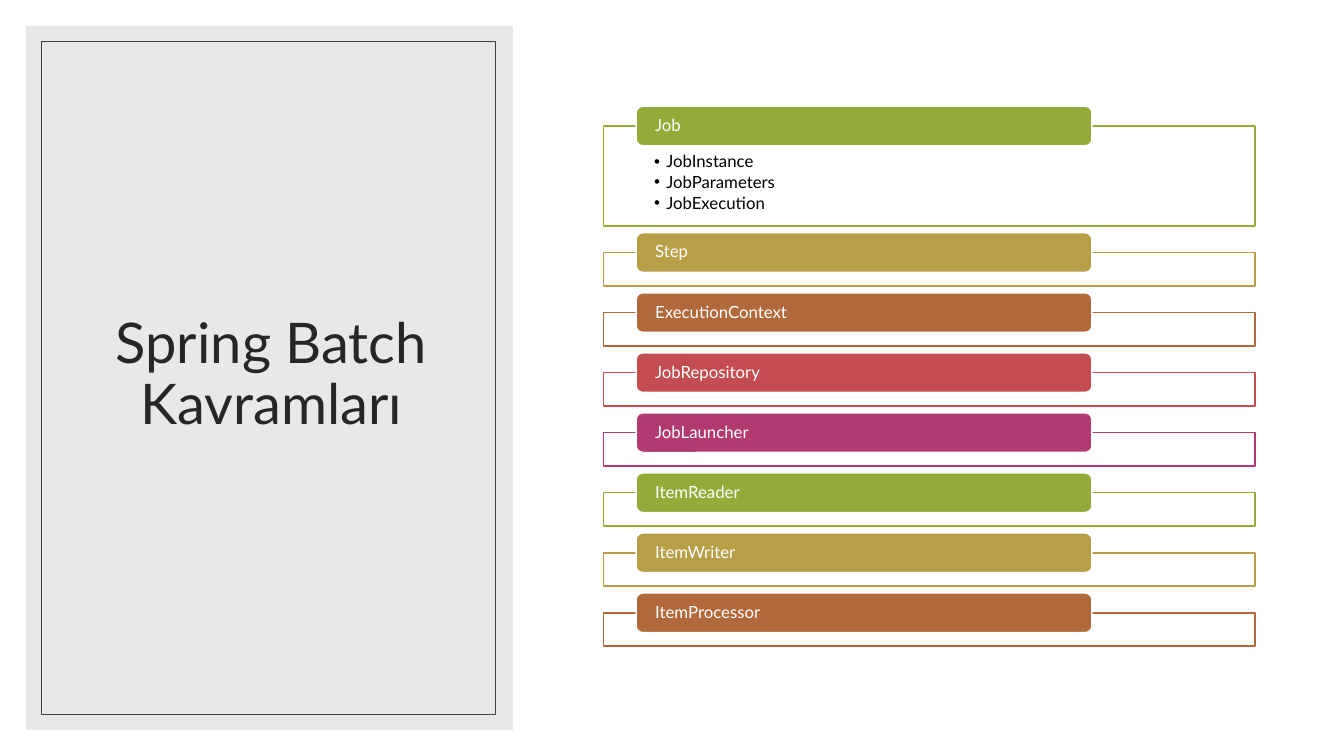
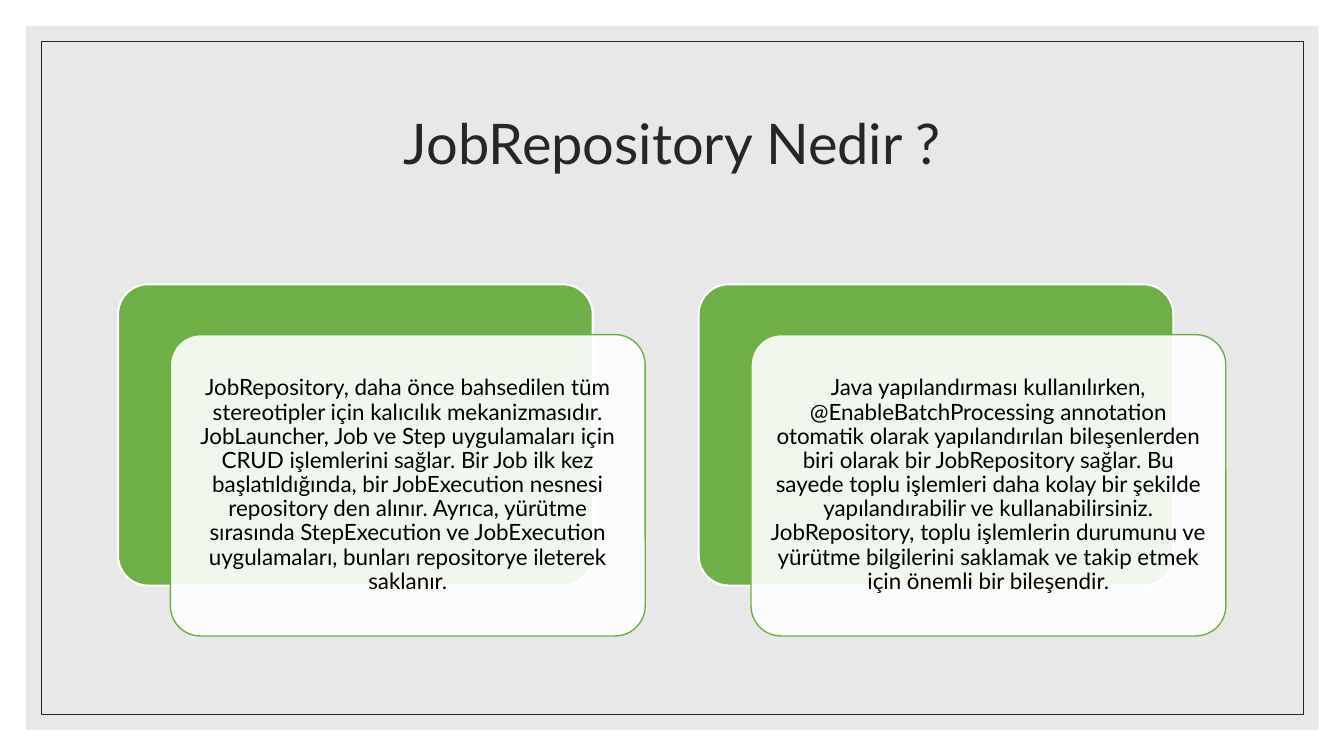
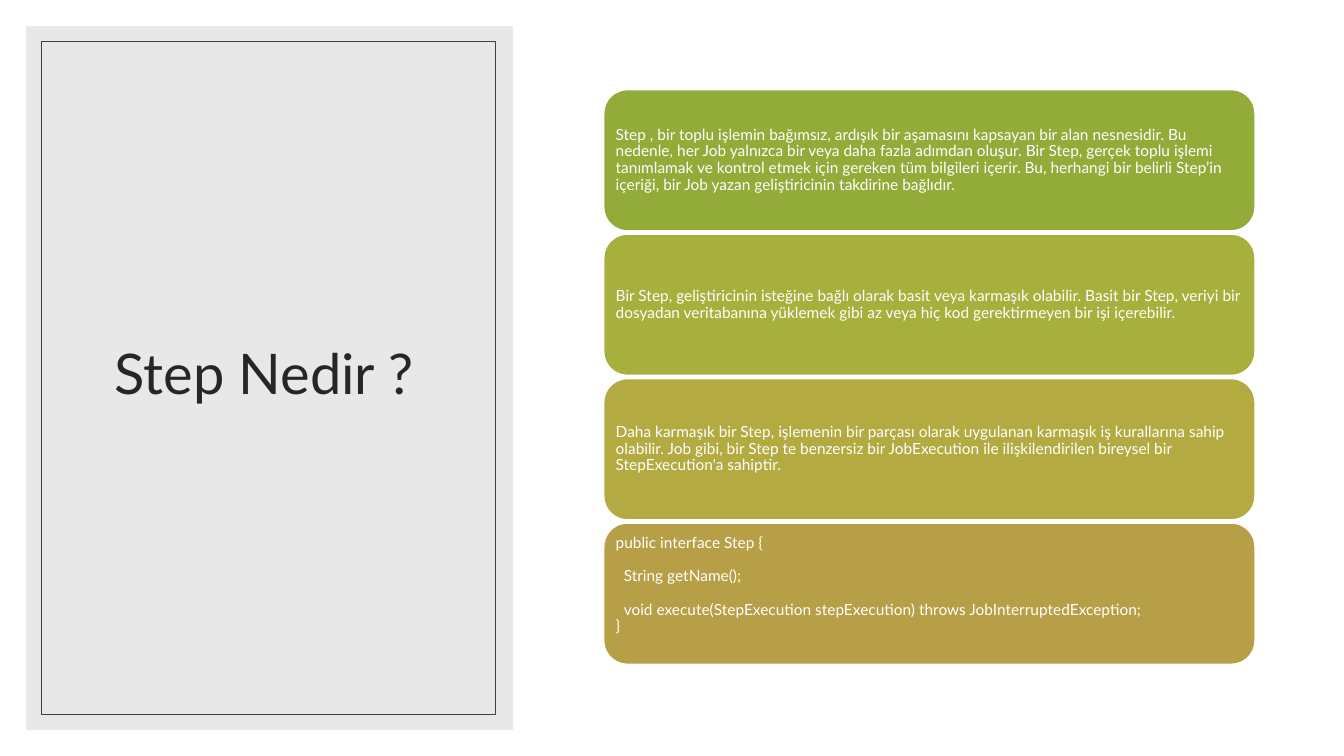
from dataclasses import dataclass

from lxml import etree
from pptx import Presentation
from pptx import util as u
from pptx.dml.color import RGBColor
from pptx.enum import shapes, text
from pptx.oxml.ns import qn

COLORS = {
    "white": "FFFFFF",
    "black": "000000",
    "panel": "D9D9D9",
    "title": "262626",
    "border": "404040",
    "leaf": "6DB146",
    "green": "93AB39",
    "lime": "A7AF3D",
    "olive": "B3AB42",
    "gold": "B69F47",
    "rust": "B1683B",
    "red": "C34D51",
    "plum": "B13B70",
}
FONT = "Lato"
RECTANGLE = shapes.MSO_SHAPE.RECTANGLE
ROUNDED = shapes.MSO_SHAPE.ROUNDED_RECTANGLE
LEFT, CENTER = text.PP_ALIGN.LEFT, text.PP_ALIGN.CENTER
TOP, MIDDLE = text.MSO_ANCHOR.TOP, text.MSO_ANCHOR.MIDDLE

CONCEPTS = [
    ("Job", "green", ["JobInstance", "JobParameters", "JobExecution"]),
    ("Step", "gold", []),
    ("ExecutionContext", "rust", []),
    ("JobRepository", "red", []),
    ("JobLauncher", "plum", []),
    ("ItemReader", "green", []),
    ("ItemWriter", "gold", []),
    ("ItemProcessor", "rust", []),
]
REPOSITORY_CARDS = [
    "JobRepository, daha önce bahsedilen tüm stereotipler için kalıcılık "
    "mekanizmasıdır. JobLauncher, Job ve Step uygulamaları için CRUD işlemlerini "
    "sağlar. Bir Job ilk kez başlatıldığında, bir JobExecution nesnesi repository "
    "den alınır. Ayrıca, yürütme sırasında StepExecution ve JobExecution "
    "uygulamaları, bunları repositorye ileterek saklanır.",
    "Java yapılandırması kullanılırken, @EnableBatchProcessing annotation otomatik "
    "olarak yapılandırılan bileşenlerden biri olarak bir JobRepository sağlar. Bu "
    "sayede toplu işlemleri daha kolay bir şekilde yapılandırabilir ve "
    "kullanabilirsiniz. JobRepository, toplu işlemlerin durumunu ve yürütme "
    "bilgilerini saklamak ve takip etmek için önemli bir bileşendir.",
]
STEP_BLOCKS = [
    ("green", [
        "Step , bir toplu işlemin bağımsız, ardışık bir aşamasını kapsayan bir alan "
        "nesnesidir. Bu nedenle, her Job yalnızca bir veya daha fazla adımdan oluşur. "
        "Bir Step, gerçek toplu işlemi tanımlamak ve kontrol etmek için gereken tüm "
        "bilgileri içerir. Bu, herhangi bir belirli Step’in içeriği, bir Job yazan "
        "geliştiricinin takdirine bağlıdır."]),
    ("lime", [
        "Bir Step, geliştiricinin isteğine bağlı olarak basit veya karmaşık olabilir. "
        "Basit bir Step, veriyi bir dosyadan veritabanına yüklemek gibi az veya hiç "
        "kod gerektirmeyen bir işi içerebilir."]),
    ("olive", [
        "Daha karmaşık bir Step, işlemenin bir parçası olarak uygulanan karmaşık iş "
        "kurallarına sahip olabilir. Job gibi, bir Step te benzersiz bir JobExecution "
        "ile ilişkilendirilen bireysel bir StepExecution'a sahiptir."]),
    ("gold", [
        "public interface Step {",
        "String getName();",
        "void execute(StepExecution stepExecution) throws JobInterruptedException;",
        "}"]),
]


@dataclass
class Box:
    left: float
    top: float
    width: float
    height: float

    def portion(self, left, top, width, height):
        return Box(self.left + self.width * left / 100,
                   self.top + self.height * top / 100,
                   self.width * width / 100,
                   self.height * height / 100)

    def rows(self, shares):
        gap = (100 - sum(shares)) / (len(shares) - 1)
        return [self.portion(0, sum(shares[:index]) + gap * index, 100, share)
                for index, share in enumerate(shares)]

    def columns(self, count, share):
        gap = (100 - count * share) / (count - 1)
        return [self.portion((share + gap) * index, 0, share, 100)
                for index in range(count)]

    def emu(self):
        return [u.Inches(value) for value in
                (self.left, self.top, self.width, self.height)]


SLIDE = Box(0, 0, 13.33, 7.5)


def rgb(name):
    return RGBColor.from_string(COLORS[name])


def draw(slide, kind, box, fill=None, line=None, weight=1, opacity=100):
    shape = slide.shapes.add_shape(kind, *box.emu())
    shape.shadow.inherit = False
    if fill:
        shape.fill.solid()
        shape.fill.fore_color.rgb = rgb(fill)
        if opacity < 100:
            color = shape.element.spPr.find(qn("a:solidFill"))[0]
            etree.SubElement(color, qn("a:alpha"), val=str(opacity * 1000))
    else:
        shape.fill.background()
    if line:
        shape.line.color.rgb = rgb(line)
        shape.line.width = u.Pt(weight)
    else:
        shape.line.fill.background()
    return shape


def write(shape, lines, size, color, align=LEFT, anchor=MIDDLE,
          insets=(0.1, 0.05, 0.1, 0.05)):
    frame = shape.text_frame
    frame.word_wrap = True
    frame.vertical_anchor = anchor
    (frame.margin_left, frame.margin_top,
     frame.margin_right, frame.margin_bottom) = map(u.Inches, insets)
    frame.text = "\n".join(lines)
    for paragraph in frame.paragraphs:
        paragraph.alignment = align
        paragraph.line_spacing = 0.9
        for run in paragraph.runs:
            run.font.name = FONT
            run.font.size = u.Pt(size)
            run.font.color.rgb = rgb(color)
    return frame.paragraphs


def indent(paragraph, margin, first=0):
    properties = paragraph._p.get_or_add_pPr()
    properties.set("marL", str(u.Inches(margin)))
    properties.set("indent", str(u.Inches(first)))
    return properties


def bullet(paragraph):
    paragraph.space_after = u.Pt(1.8)
    properties = indent(paragraph, 0.12, -0.12)
    etree.SubElement(properties, qn("a:buFont"), typeface="Arial")
    etree.SubElement(properties, qn("a:buChar"), char="•")


def add_panel(slide, panel, border, title_box, title, border_color):
    draw(slide, RECTANGLE, panel, fill="panel", opacity=60)
    draw(slide, RECTANGLE, border, line=border_color, weight=0.5)
    title_shape = slide.shapes.add_textbox(*title_box.emu())
    write(title_shape, [title], 40, "title", CENTER)


def add_side_panel(slide, title):
    panel = SLIDE.portion(1.95, 3.47, 36.22, 93.07)
    add_panel(slide, panel, panel.portion(3.11, 2.15, 93.37, 95.7),
              panel.portion(7.66, 5.01, 85.3, 89.4), title, "border")


def add_wide_panel(slide, title):
    panel = SLIDE.portion(1.95, 3.47, 96.16, 93.07)
    add_panel(slide, panel, panel.portion(1.17, 2.15, 97.66, 95.7),
              panel.portion(7.1, 6.3, 85.8, 21.49), title, "title")


def add_concept_list(slide, area):
    tab_height = area.height * 0.08 * 0.95
    shares = [19.19 if details else 6.4 for _, _, details in CONCEPTS]
    for row, (name, color, details) in zip(area.rows(shares), CONCEPTS):
        frame = draw(slide, RECTANGLE, row, "white", color, opacity=90)
        if details:
            for paragraph in write(frame, details, 12, "black", anchor=TOP,
                                   insets=(0.5, 0.27, 0.5, 0.09)):
                bullet(paragraph)
        tab_box = row.portion(4.95, 0, 70, 100)
        tab_box.top -= tab_height / 2
        tab_box.height = tab_height
        tab = draw(slide, ROUNDED, tab_box, color, "white")
        write(tab, [name], 12, "white", insets=(0.17, 0, 0.17, 0))


def add_repository_cards(slide, area):
    for column, description in zip(area.columns(2, 47.59), REPOSITORY_CARDS):
        back = draw(slide, ROUNDED, column.portion(0, 0, 90.06, 85.67),
                    "leaf", "white", 1.5)
        front = draw(slide, ROUNDED, column.portion(9.94, 14.33, 90.06, 85.67),
                     "white", "leaf", opacity=90)
        for card in (back, front):
            card.adjustments[0] = 0.1
        write(front, [description], 16, "black", CENTER, insets=[0.07] * 4)


def add_step_blocks(slide, area):
    rows = area.rows([24.56] * len(STEP_BLOCKS))
    for row, (color, lines) in zip(rows, STEP_BLOCKS):
        block = draw(slide, ROUNDED, row, color, "white")
        is_code = len(lines) > 1
        bottom = 0.22 if is_code else 0.05
        paragraphs = write(block, lines, 11, "white",
                           insets=(0.05, 0.05, 0.05, bottom))
        if is_code:
            for paragraph in paragraphs[1:-1]:
                indent(paragraph, 0.08)
                paragraph.space_before = u.Pt(11.9)


def main():
    presentation = Presentation()
    presentation.slide_width = u.Inches(SLIDE.width)
    presentation.slide_height = u.Inches(SLIDE.height)
    pages = [
        (add_side_panel, "Spring Batch Kavramları",
         add_concept_list, SLIDE.portion(44.93, 16.67, 48.45, 68.8)),
        (add_wide_panel, "JobRepository Nedir ?",
         add_repository_cards, SLIDE.portion(8.78, 37.6, 82.43, 46.53)),
        (add_side_panel, "Step Nedir ? ",
         add_step_blocks, SLIDE.portion(44.93, 11.87, 48.45, 76)),
    ]
    for add_title_panel, title, add_content, area in pages:
        slide = presentation.slides.add_slide(presentation.slide_layouts[6])
        slide.background.fill.solid()
        slide.background.fill.fore_color.rgb = rgb("white")
        add_title_panel(slide, title)
        add_content(slide, area)
    presentation.save("out.pptx")


if __name__ == "__main__":
    main()
